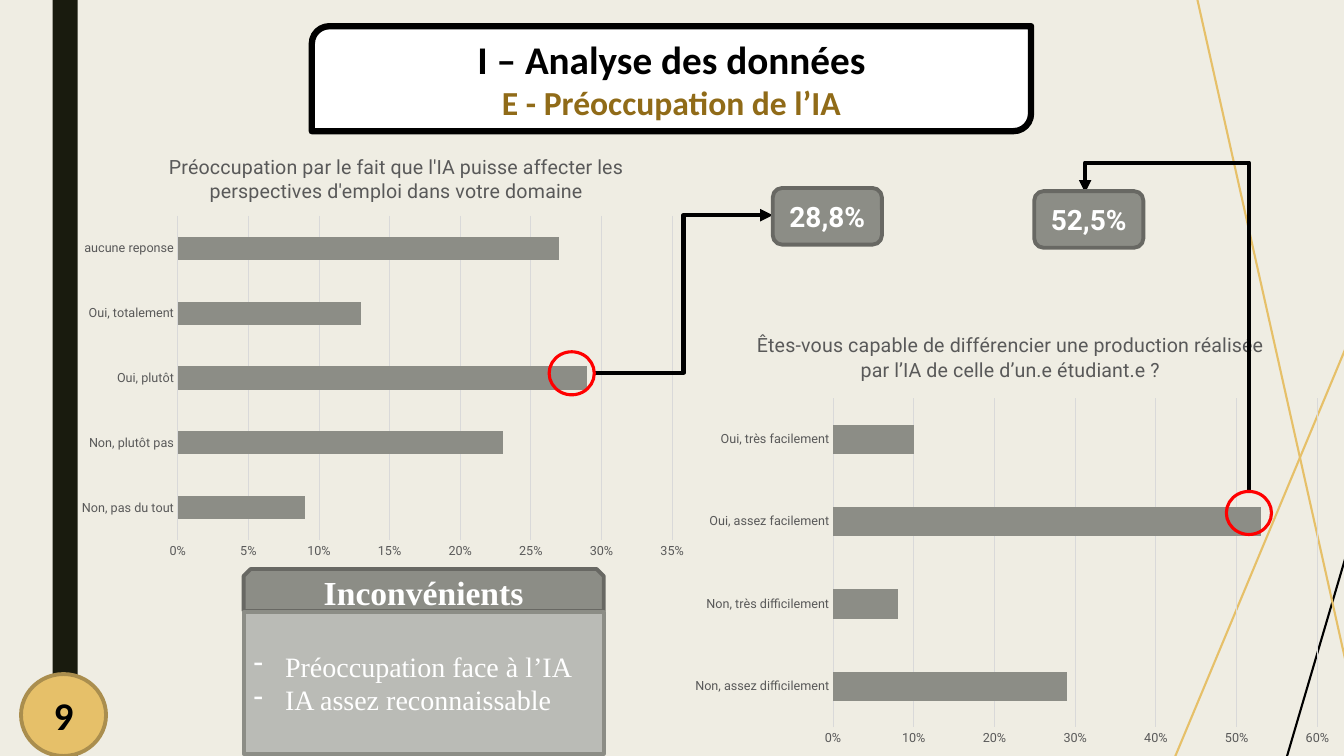
from lxml.etree import SubElement
from pptx import Presentation
from pptx.chart.data import CategoryChartData
from pptx.dml.color import RGBColor
from pptx.enum.chart import XL_CHART_TYPE, XL_TICK_MARK
from pptx.enum.shapes import MSO_CONNECTOR, MSO_SHAPE
from pptx.enum.text import MSO_ANCHOR, PP_ALIGN
from pptx.oxml import parse_xml
from pptx.oxml.ns import nsdecls, qn
from pptx.util import Pt

SCALE = 9525
SERIF = "Times New Roman"
GRAY, DARK, GOLD, BROWN = "8C8D86", "686863", "E6C069", "906B18"
BLACK, WHITE, RED, PALE, TEXT = "000000", "FFFFFF", "FF0000", "D9D9D9", "595959"
hue = RGBColor.from_string


def px(*sizes):
    return [size * SCALE for size in sizes]


def draw(kind, box, fill=None, line=None, width=2.75, rows=()):
    shape = slide.shapes.add_shape(kind, *px(*box))
    shape.shadow.inherit = False
    if fill:
        shape.fill.solid()
        shape.fill.fore_color.rgb = hue(fill)
    else:
        shape.fill.background()
    if line:
        shape.line.color.rgb = hue(line)
        shape.line.width = Pt(width)
    else:
        shape.line.fill.background()
    frame = shape.text_frame
    frame.vertical_anchor = MSO_ANCHOR.MIDDLE
    frame.text = "\n".join(row[0] for row in rows)
    for para, (text, size, face, tint, bold) in zip(frame.paragraphs, rows):
        para.alignment = PP_ALIGN.CENTER
        font = para.runs[0].font
        font.size, font.name, font.bold = Pt(size), face, bold
        font.color.rgb = hue(tint)
    return shape


deck = Presentation()
deck.slide_width, deck.slide_height = px(1280, 720)
slide = deck.slides.add_slide(deck.slide_layouts[6])
slide.background.fill.solid()
slide.background.fill.fore_color.rgb = hue("EFEDE3")

draw(MSO_SHAPE.RECTANGLE, (50, 0, 24, 720), "191B0E")
lines = [
    (MSO_CONNECTOR.STRAIGHT, (1217, 750, 1300, 468), BLACK, 1.5),
    (MSO_CONNECTOR.STRAIGHT, (1134, -29, 1289, 663), GOLD, 1.5),
    (MSO_CONNECTOR.STRAIGHT, (1071, 836, 1362, 139), GOLD, 1.5),
    (MSO_CONNECTOR.ELBOW, (566, 355, 736, 205), BLACK, 3),
    (MSO_CONNECTOR.ELBOW, (969, 404, 1254, 248), BLACK, 3),
]
links = []
for kind, ends, tint, width in lines:
    link = slide.shapes.add_connector(kind, *px(*ends))
    link.line.color.rgb = hue(tint)
    link.line.width = Pt(width)
    props = link._element.spPr
    if kind == MSO_CONNECTOR.ELBOW:
        SubElement(props.find(qn("a:ln")), qn("a:tailEnd"), type="triangle")
        links.append(link)
    SubElement(props, qn("a:effectLst"))
turn = links[1]._element.spPr
turn.find(qn("a:xfrm")).set("rot", "16200000")
guides = turn.find(qn("a:prstGeom")).find(qn("a:avLst"))
SubElement(guides, qn("a:gd"), name="adj1", fmla="val 110000")

draw(MSO_SHAPE.OVAL, (20, 642, 81, 78), GOLD, "AA8E4E",
     rows=[("9", 28, "Calibri", BLACK, True)])
draw(MSO_SHAPE.ROUND_2_DIAG_RECTANGLE, (297, 25, 685, 100), WHITE, BLACK, 4.5,
     [("I – Analyse des données", 28, "Calibri", BLACK, True),
      ("E - Préoccupation de l’IA", 24, "Calibri", BROWN, True)])

charts = [
    ((68, 126, 596, 418),
     "Préoccupation par le fait que l'IA puisse affecter les perspectives "
     "d'emploi dans votre domaine",
     {"Non, pas du tout": 0.09, "Non, plutôt pas": 0.23, "Oui, plutôt": 0.29,
      "Oui, totalement": 0.13, "aucune reponse": 0.27},
     0.35, 0.05, (0.15, 0.04), (0.17, 0.19, 0.79, 0.74)),
    ((648, 300, 632, 418),
     "Êtes-vous capable de différencier une production réalisée par l’IA "
     "de celle d’un.e étudiant.e ?",
     {"Non, assez difficilement": 0.29, "Non, très difficilement": 0.08,
      "Oui, assez facilement": 0.53, "Oui, très facilement": 0.1},
     0.6, 0.1, (0.11, 0.03), (0.23, 0.19, 0.73, 0.75)),
]
for box, title, votes, top, step, head, area in charts:
    data = CategoryChartData(number_format="0%")
    data.categories = list(votes)
    data.add_series("Series 1", list(votes.values()))
    chart = slide.shapes.add_chart(XL_CHART_TYPE.BAR_CLUSTERED, *px(*box), data).chart
    space = chart._chartSpace
    space.chart.addnext(parse_xml(
        f"<c:spPr {nsdecls('c', 'a')}><a:noFill/><a:ln><a:noFill/></a:ln></c:spPr>"))
    chart.font.name, chart.font.size = "Roboto", Pt(10)
    chart.has_legend = False
    chart.has_title = True
    frame = chart.chart_title.text_frame
    frame.text = title
    font = frame.paragraphs[0].runs[0].font
    font.name, font.size, font.bold = "Roboto", Pt(14), False
    font.color.rgb = hue(TEXT)
    plot = chart.plots[0]
    plot.gap_width = 182
    plot.vary_by_categories = False
    bars = plot.series[0].format.fill
    bars.solid()
    bars.fore_color.rgb = hue(GRAY)
    cats, vals = chart.category_axis, chart.value_axis
    for axis in (cats, vals):
        axis.major_tick_mark = axis.minor_tick_mark = XL_TICK_MARK.NONE
        font = axis.tick_labels.font
        font.name, font.size = "Roboto", Pt(9)
        font.color.rgb = hue(TEXT)
    vals.minimum_scale, vals.maximum_scale, vals.major_unit = 0, top, step
    vals.tick_labels.number_format = "0%"
    vals.tick_labels.number_format_is_linked = False
    vals.format.line.fill.background()
    for rule in (cats.format.line, vals.major_gridlines.format.line):
        rule.color.rgb = hue(PALE)
        rule.width = Pt(0.75)
    for node, spot, place in ((chart.chart_title._element, head, 1),
                              (space.chart.plotArea, area, 0)):
        for old in node.findall(qn("c:layout")):
            node.remove(old)
        layout = parse_xml(f"<c:layout {nsdecls('c')}><c:manualLayout/></c:layout>")
        node.insert(place, layout)
        if node is space.chart.plotArea:
            SubElement(layout[0], qn("c:layoutTarget"), val="inner")
        for key in ("xMode", "yMode"):
            SubElement(layout[0], qn(f"c:{key}"), val="edge")
        for key, part in zip("xywh", spot):
            SubElement(layout[0], qn(f"c:{key}"), val=str(part))

for link in links:
    slide.shapes._spTree.append(link._element)
for left, upper in ((1168, 468), (523, 335)):
    draw(MSO_SHAPE.OVAL, (left, upper, 43, 41), None, RED, 2.25)
for left, upper, rate in ((736, 179, "28,8%"), (985, 182, "52,5%")):
    draw(MSO_SHAPE.ROUNDED_RECTANGLE, (left, upper, 104, 54), GRAY, DARK,
         rows=[(rate, 20, "Roboto", WHITE, True)])

draw(MSO_SHAPE.SNIP_2_SAME_RECTANGLE, (232, 542, 343, 40), GRAY, DARK,
     rows=[("Inconvénients", 24, SERIF, WHITE, True)])
panel = draw(MSO_SHAPE.RECTANGLE, (232, 583, 343, 135), "BABBB6", GRAY,
             rows=[("Préoccupation face à l’IA", 20, SERIF, WHITE, False),
                   ("IA assez reconnaissable", 20, SERIF, WHITE, False)])
for para in panel.text_frame.paragraphs:
    para.alignment = PP_ALIGN.LEFT
    props = para._p.get_or_add_pPr()
    props.set("marL", str(30 * SCALE))
    props.set("indent", str(-30 * SCALE))
    SubElement(props, qn("a:buChar"), char="-")

deck.save("out.pptx")
